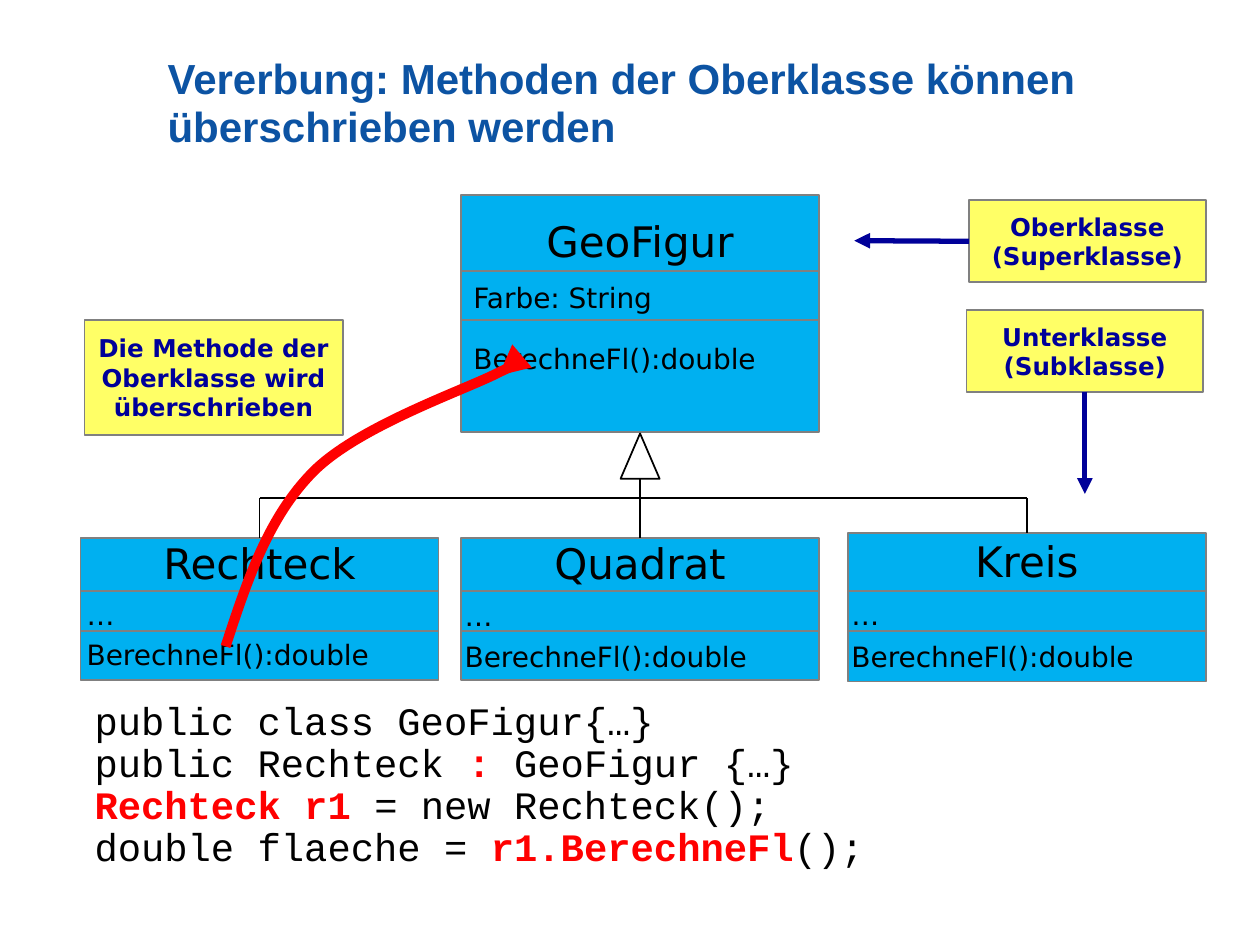
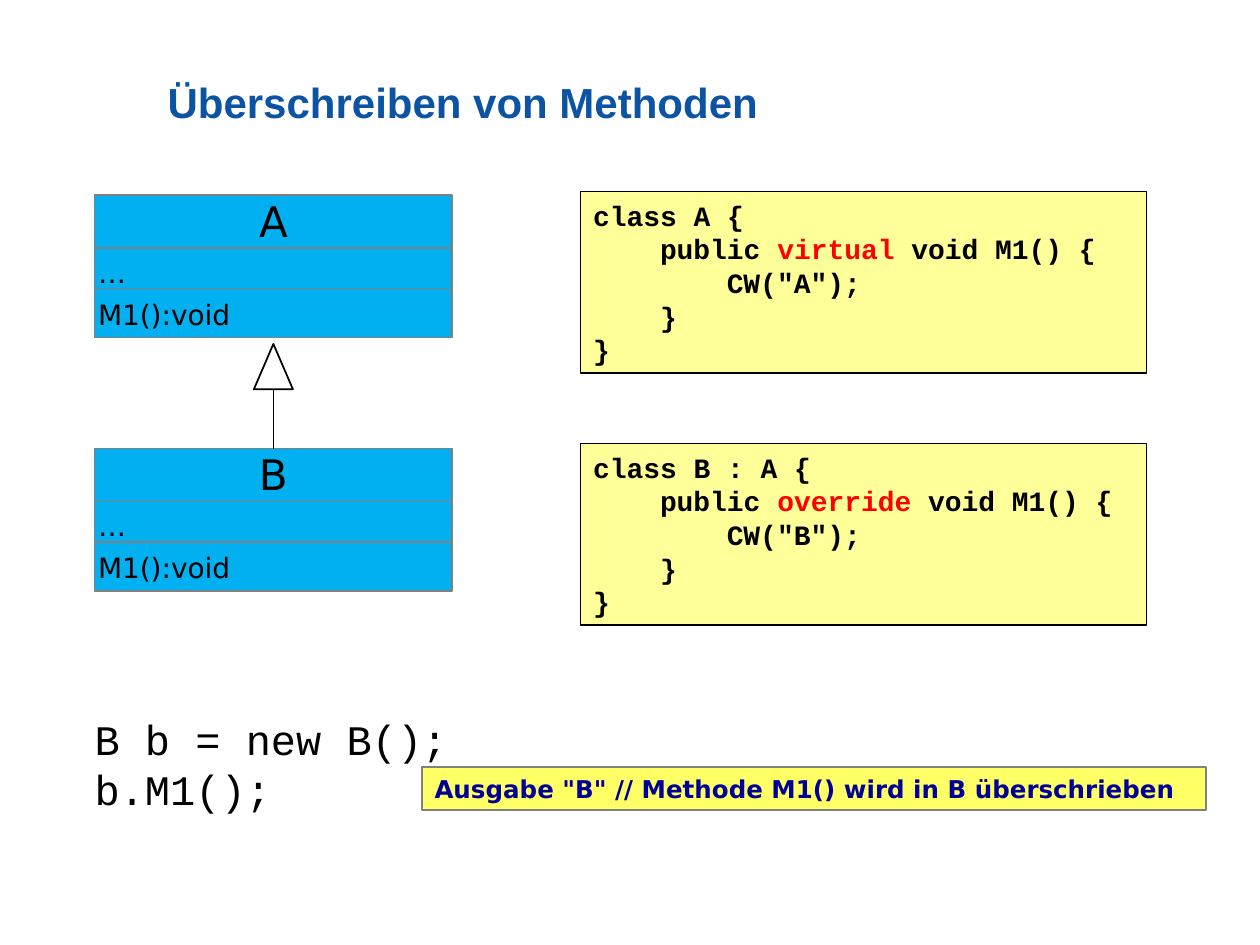
from dataclasses import dataclass
from itertools import pairwise

import lxml.etree
import pptx
import pptx.dml.color
import pptx.enum.shapes
import pptx.enum.text
import pptx.oxml.ns
import pptx.util

Inches, Pt = pptx.util.Inches, pptx.util.Pt
qn = pptx.oxml.ns.qn
SHAPES = pptx.enum.shapes.MSO_SHAPE
ALIGN = pptx.enum.text.PP_ALIGN
ANCHOR = pptx.enum.text.MSO_ANCHOR


@dataclass(frozen=True)
class Theme:
    title: str = "0C53A3"
    ink: str = "000000"
    accent: str = "FF0000"
    class_fill: str = "00B0F0"
    border: str = "808080"
    note_fill: str = "FFFF66"
    note_ink: str = "000099"
    code_fill: str = "FFFF99"
    title_font: str = "Arial"
    code_font: str = "Courier New"
    diagram_font: str = "DejaVu Sans"
    heading_size: float = 24
    member_size: float = 16
    note_size: float = 14
    listing_size: float = 22.2
    hairline: float = 0.75
    thin: float = 1
    arrow: float = 3
    curve: float = 5.75


THEME = Theme()


@dataclass
class ClassBox:
    name: str
    left: float
    top: float
    method: str
    attribute: str = "…"
    height: float = 1.13
    dividers: tuple = (0.42, 0.74)
    member_left: float = -0.07
    member_tops: tuple = (0.43, 0.76)
    width: float = 2.84


AREA = "BerechneFl():double"
SUPERCLASS = ClassBox("GeoFigur", 3.66, 1.55, AREA, "Farbe: String", 1.88, (0.6, 0.99), 0, (0.63, 1.11))
SUBCLASSES = [
    ClassBox("Rechteck", 0.64, 4.27, AREA, member_left=-0.05, member_tops=(0.42, 0.74)),
    ClassBox("Quadrat", 3.66, 4.27, AREA),
    ClassBox("Kreis", 6.73, 4.23, AREA, height=1.18, dividers=(0.46, 0.78), member_tops=(0.46, 0.8)),
]
BASE, DERIVED = [ClassBox(name, 0.75, top, "M1():void") for name, top in (("A", 1.55), ("B", 3.56))]

GEOMETRY_CODE = [
    "public class GeoFigur{…}",
    "public Rechteck *: *GeoFigur {…}",
    "*Rechteck r1 *= new Rechteck();",
    "double flaeche = *r1.BerechneFl*();",
]
CALL_CODE = ["B b = new B();", "b.M1();"]
CLASS_CODE = [("class A {", "virtual", "A", 1.52), ("class B : A {", "override", "B", 3.52)]
OVERRIDE_CURVE = [
    (1.79, 5.13), (1.96, 4.61), (2.13, 4.1), (2.49, 3.74), (2.85, 3.38),
    (3.7, 3.09), (3.95, 2.96), (4.2, 2.84), (4.08, 2.91), (3.96, 2.98),
]
BUS_Y = 3.95
TRIANGLE = (0.31, 0.36)
CODE_INDENT = 0.53


def rgb(color):
    return pptx.dml.color.RGBColor.from_string(color)


def style_line(shape, color, width, arrowhead=False):
    shape.line.color.rgb = rgb(color)
    shape.line.width = Pt(width)
    if arrowhead:
        outline = shape._element.spPr.find(qn("a:ln"))
        lxml.etree.SubElement(outline, qn("a:tailEnd"), type="triangle")


def style_font(font, name, size, color, bold=False):
    font.name, font.size, font.bold = name, Pt(size), bold
    font.color.rgb = rgb(color)


def add_marked_text(paragraph, text):
    for index, part in enumerate(text.split("*")):
        if part:
            run = paragraph.add_run()
            run.text = part
            if index % 2:
                run.font.bold = True
                run.font.color.rgb = rgb(THEME.accent)


def write(shape, lines, font, size, color, bold=False, align=ALIGN.LEFT, anchor=ANCHOR.MIDDLE):
    frame = shape.text_frame
    frame.word_wrap = True
    frame.vertical_anchor = anchor
    for index, line in enumerate(lines):
        paragraph = frame.add_paragraph() if index else frame.paragraphs[0]
        add_marked_text(paragraph, line)
        paragraph.alignment = align
        style_font(paragraph.font, font, size, color, bold)
    return frame


def add_shape(slide, kind, box, fill, border, width=THEME.thin):
    shape = slide.shapes.add_shape(kind, *map(Inches, box))
    shape.shadow.inherit = False
    if fill:
        shape.fill.solid()
        shape.fill.fore_color.rgb = rgb(fill)
    else:
        shape.fill.background()
    style_line(shape, border, width)
    return shape


def add_line(slide, start, end, color=THEME.ink, width=THEME.thin, arrowhead=False):
    line = slide.shapes.add_connector(
        pptx.enum.shapes.MSO_CONNECTOR.STRAIGHT, *map(Inches, (*start, *end)))
    style_line(line, color, width, arrowhead)
    lxml.etree.SubElement(line._element.spPr, qn("a:effectLst"))
    return line


def add_class(slide, item):
    box = (item.left, item.top, item.width, item.height)
    shape = add_shape(slide, SHAPES.RECTANGLE, box, THEME.class_fill, THEME.border)
    frame = write(shape, [item.name], THEME.diagram_font, THEME.heading_size, THEME.ink,
                  align=ALIGN.CENTER, anchor=ANCHOR.TOP)
    frame.margin_top = Inches(max(0, item.dividers[0] - 0.44))
    for offset in item.dividers:
        y = item.top + offset
        add_line(slide, (item.left, y), (item.left + item.width, y), THEME.border)
    for text, offset in zip((item.attribute, item.method), item.member_tops):
        member = slide.shapes.add_textbox(
            *map(Inches, (item.left + item.member_left, item.top + offset, 3.23, 0.37)))
        write(member, [text], THEME.diagram_font, THEME.member_size, THEME.ink, anchor=ANCHOR.TOP)
    return shape


def add_note(slide, lines, box, align=ALIGN.CENTER):
    note = add_shape(slide, SHAPES.RECTANGLE, box, THEME.note_fill, THEME.border)
    write(note, lines, THEME.diagram_font, THEME.note_size, THEME.note_ink, True, align)
    return note


def add_triangle(slide, center, top):
    width, height = TRIANGLE
    add_shape(slide, SHAPES.ISOSCELES_TRIANGLE, (center - width / 2, top, width, height), None, THEME.ink)
    return center, top + height


def add_code_box(slide, header, keyword, output, top):
    box = add_shape(slide, SHAPES.RECTANGLE, (4.61, top, 4.49, 1.44),
                    THEME.code_fill, THEME.ink, THEME.hairline)
    lines = [header, f"public *{keyword}* void M1() {{", f'CW("{output}");', "}", "}"]
    frame = write(box, lines, THEME.code_font, THEME.member_size, THEME.ink, True)
    for paragraph, level in zip(frame.paragraphs, (0, 1, 2, 1, 0)):
        paragraph._p.get_or_add_pPr().set("marL", str(Inches(level * CODE_INDENT)))


def add_curve(slide, points):
    start, *rest = [tuple(map(Inches, point)) for point in points]
    builder = slide.shapes.build_freeform(*start)
    builder.add_line_segments(rest, close=False)
    curve = builder.convert_to_shape()
    segments = list(curve._element.iter(qn("a:lnTo")))
    for first in range(0, len(segments), 3):
        bezier = lxml.etree.Element(qn("a:cubicBezTo"))
        segments[first].addprevious(bezier)
        for segment in segments[first:first + 3]:
            bezier.append(segment[0])
            segment.getparent().remove(segment)
    curve.shadow.inherit = False
    curve.fill.background()
    style_line(curve, THEME.accent, THEME.curve, True)


def place(shape, *box):
    shape.left, shape.top, shape.width, shape.height = map(Inches, box)


def add_slide(presentation, title, code, code_top, code_height, code_size, spacing):
    slide = presentation.slides.add_slide(presentation.slide_layouts[1])
    heading, body = slide.placeholders
    place(heading, 1.33, 0.33, 8.5, 1)
    frame = write(heading, [title], THEME.title_font, THEME.heading_size, THEME.title, True)
    frame.margin_left = frame.margin_top = frame.margin_right = frame.margin_bottom = 0
    frame.paragraphs[0].line_spacing = 0.95

    place(body, 0.65, code_top, 9.1, code_height)
    frame = write(body, code[:1], THEME.code_font, code_size, THEME.ink, anchor=ANCHOR.TOP)
    paragraph = frame.paragraphs[0]
    for line in code[1:]:
        paragraph.add_line_break()
        add_marked_text(paragraph, line)
    paragraph.line_spacing = spacing
    paragraph.space_before, paragraph.space_after = Pt(6), Pt(15)
    properties = paragraph._p.get_or_add_pPr()
    properties.set("marL", "0")
    properties.set("indent", "0")
    properties.find(qn("a:defRPr")).addprevious(lxml.etree.Element(qn("a:buNone")))
    for frame in (heading.text_frame, body.text_frame):
        frame.auto_size = pptx.enum.text.MSO_AUTO_SIZE.NONE
    return slide


def build_inheritance(presentation):
    slide = add_slide(presentation, "Vererbung: Methoden der Oberklasse können überschrieben werden",
                      GEOMETRY_CODE, 5.52, 1.7, THEME.listing_size, 0.9)
    add_class(slide, SUPERCLASS)
    center = SUPERCLASS.left + SUPERCLASS.width / 2
    stem = add_triangle(slide, center, SUPERCLASS.top + SUPERCLASS.height + 0.01)
    add_line(slide, stem, (center, BUS_Y))
    centers = [item.left + item.width / 2 for item in SUBCLASSES]
    for start, end in pairwise(centers):
        add_line(slide, (start, BUS_Y), (end, BUS_Y))
    for item, x in zip(SUBCLASSES, centers):
        box = add_class(slide, item)
        add_line(slide, (x, item.top), (x, BUS_Y)).begin_connect(box, 0)
    notes = [
        (["Oberklasse", "(Superklasse)"], (7.69, 1.59, 1.88, 0.65), (6.78, 1.91), 1),
        (["Unterklasse", "(Subklasse)"], (7.67, 2.46, 1.88, 0.65), (8.61, 3.92), 2),
    ]
    for lines, box, target, side in notes:
        note = add_note(slide, lines, box)
        add_line(slide, target, target, THEME.note_ink, THEME.arrow, True).begin_connect(note, side)
    add_note(slide, ["Die Methode der Oberklasse wird überschrieben"], (0.67, 2.54, 2.05, 0.91))
    add_curve(slide, OVERRIDE_CURVE)


def build_overriding(presentation):
    slide = add_slide(presentation, "Überschreiben von Methoden",
                      CALL_CODE, 5.61, 1.45, THEME.heading_size, 1.0)
    add_class(slide, BASE)
    derived = add_class(slide, DERIVED)
    center = BASE.left + BASE.width / 2
    stem = add_triangle(slide, center, BASE.top + BASE.height + 0.05)
    add_line(slide, (center, DERIVED.top), stem).begin_connect(derived, 0)
    for code in CLASS_CODE:
        add_code_box(slide, *code)
    add_note(slide, ['Ausgabe "B" // Methode M1() wird in B überschrieben'],
             (3.35, 6.09, 6.22, 0.34), ALIGN.LEFT)


def main():
    """Build the two slides on overriding methods."""
    presentation = pptx.Presentation()
    presentation.slide_width, presentation.slide_height = Inches(10), Inches(7.5)
    build_inheritance(presentation)
    build_overriding(presentation)
    presentation.save("out.pptx")


if __name__ == "__main__":
    main()
